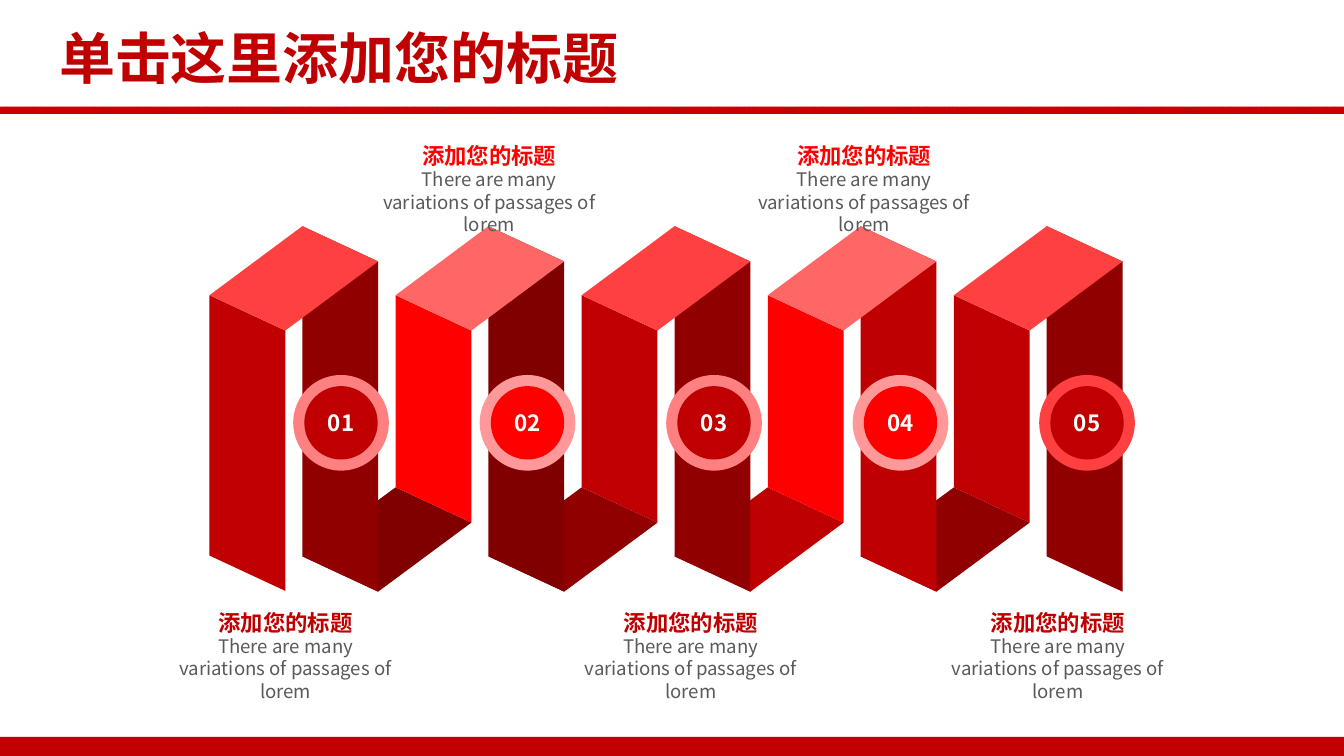
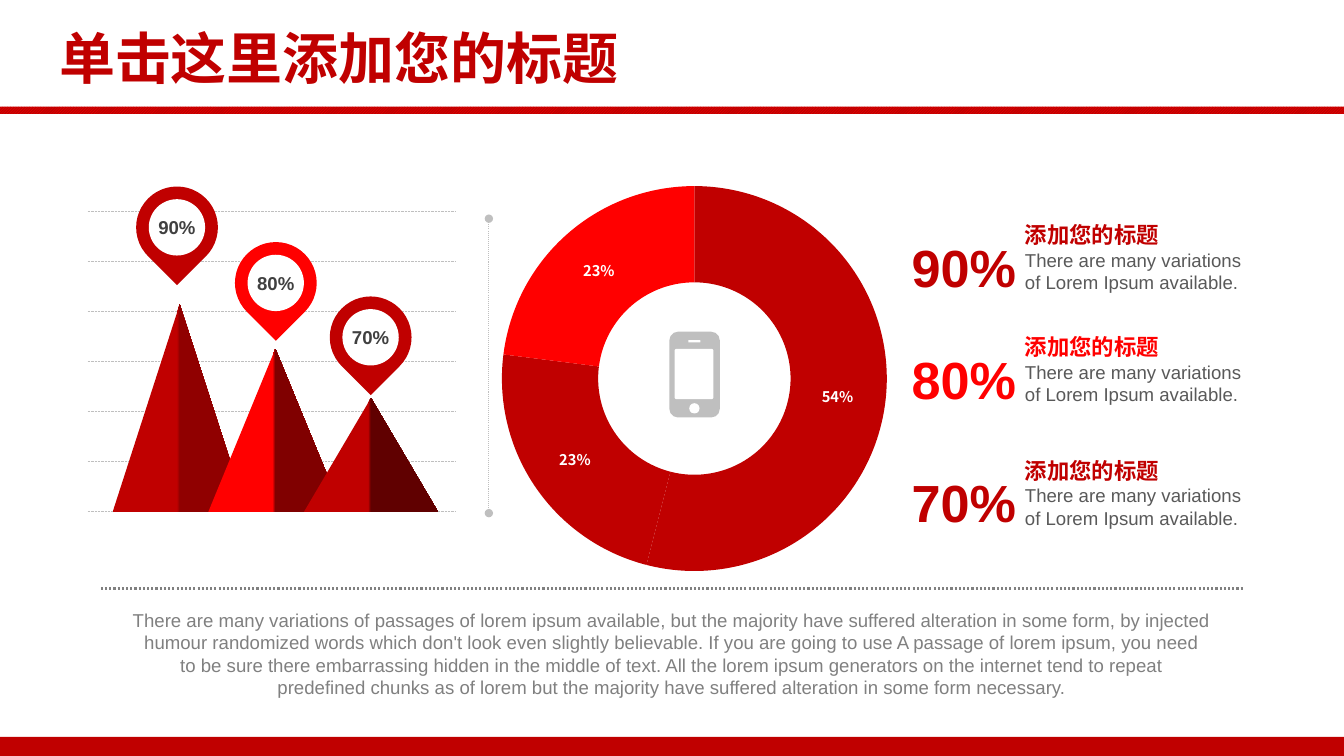
from dataclasses import dataclass
from typing import Optional

from lxml.etree import SubElement
from pptx import Presentation
from pptx.chart.data import CategoryChartData as ChartData
from pptx.dml.color import RGBColor
from pptx.enum.chart import XL_CHART_TYPE as Kind
from pptx.enum.dml import MSO_LINE as Dash, MSO_PATTERN as Pattern
from pptx.enum.shapes import MSO_CONNECTOR as Link, MSO_SHAPE as Form
from pptx.enum.text import MSO_ANCHOR as Anchor, PP_ALIGN as Align
from pptx.oxml.ns import qn
from pptx.util import Cm, Pt

DEEP, RED, WHITE, SILVER = "C00000", "FF0000", "FFFFFF", "BFBFBF"
SANS, ARIAL = "Noto Sans CJK SC", "Arial"
WIDE, HIGH = 33.87, 19.05
HEAD = "添加您的标题"
STEP, FACE, DEPTH, SLANT = 4.69, 1.91, 2.34, 0.89


@dataclass
class Style:
    size: float
    color: str
    bold: bool = False
    font: str = SANS
    align: Align = Align.CENTER
    pitch: Optional[float] = None


@dataclass
class Band:
    front: str
    back: str
    top: str
    floor: Optional[str]
    ring: str
    foot: float = 12.28


@dataclass
class Label:
    mid: float
    top: float
    color: str


@dataclass
class Peak:
    text: str
    color: str
    shade: str
    height: float
    pin_x: float
    pin_y: float
    note_y: float


BANDS = [
    Band(DEEP, "900000", "FF4040", "800000", "FF8080", 14.0),
    Band(RED, "800000", "FF6666", "900000", "FF9999"),
    Band(DEEP, "900000", "FF4040", "BF0000", "FF8080"),
    Band(RED, "BF0000", "FF6666", "900000", "FF9999"),
    Band(DEEP, "900000", "FF4040", None, "FF4040"),
]
LABELS = [
    Label(7.2, 15.34, DEEP),
    Label(12.33, 3.58, RED),
    Label(17.41, 15.34, DEEP),
    Label(21.78, 3.58, RED),
    Label(26.66, 15.34, DEEP),
]
PEAKS = [
    Peak("90%", DEEP, "900000", 5.23, 3.43, 4.7, 5.46),
    Peak("80%", RED, "800000", 4.11, 5.92, 6.1, 8.28),
    Peak("70%", DEEP, "600000", 2.87, 8.31, 7.47, 11.4),
]
BLURB = (
    "There are many variations of passages of lorem ipsum available, but the majority "
    "have suffered alteration in some form, by injected humour randomized words which "
    "don't look even slightly believable. If you are going to use A passage of lorem "
    "ipsum, you need\nto be sure there embarrassing hidden in the middle of text. All the "
    "lorem ipsum generators on the internet tend to repeat\npredefined chunks as of lorem "
    "but the majority have suffered alteration in some form necessary."
)


def tint(code: str) -> RGBColor:
    return RGBColor.from_string(code)


def write(frame, lines: list[tuple[str, Style]], anchor=Anchor.TOP, wrap=True, inset=0.0) -> None:
    frame.word_wrap = wrap
    frame.vertical_anchor = anchor
    frame.margin_left = frame.margin_right = Cm(inset)
    frame.margin_top = frame.margin_bottom = Cm(inset / 2)
    for i, (text, style) in enumerate(lines):
        para = frame.add_paragraph() if i else frame.paragraphs[0]
        para.text = text
        para.alignment = style.align
        if style.pitch:
            para.line_spacing = Pt(style.pitch)
        font = para.font
        font.size, font.bold, font.name = Pt(style.size), style.bold, style.font
        font.color.rgb = tint(style.color)
        props = para._p.pPr.find(qn("a:defRPr"))
        SubElement(props, qn("a:ea")).set("typeface", style.font)


def add_text(slide, x: float, y: float, w: float, h: float, lines, **extra) -> None:
    box = slide.shapes.add_textbox(Cm(x), Cm(y), Cm(w), Cm(h))
    write(box.text_frame, lines, **extra)


def plain(shape, color: Optional[str] = None):
    shape.shadow.inherit = False
    shape.line.fill.background()
    if color:
        shape.fill.solid()
        shape.fill.fore_color.rgb = tint(color)
    return shape


def add_form(slide, form: Form, x: float, y: float, w: float, h: float, color=None):
    return plain(slide.shapes.add_shape(form, Cm(x), Cm(y), Cm(w), Cm(h)), color)


def add_face(slide, points: list[tuple[float, float]], color: str) -> None:
    spots = [(Cm(x), Cm(y)) for x, y in points]
    path = slide.shapes.build_freeform(*spots[0])
    path.add_line_segments(spots[1:], close=True)
    plain(path.convert_to_shape(), color)


def add_rule(slide, x: float, y: float, to_x: float, to_y: float,
             color: str, width: float, ends=False) -> None:
    rule = slide.shapes.add_connector(Link.STRAIGHT, Cm(x), Cm(y), Cm(to_x), Cm(to_y))
    rule.line.color.rgb = tint(color)
    rule.line.width = Pt(width)
    rule.line.dash_style = Dash.ROUND_DOT
    props = rule._element.spPr
    if ends:
        for tag in ("a:headEnd", "a:tailEnd"):
            SubElement(props.find(qn("a:ln")), qn(tag)).set("type", "oval")
    SubElement(props, qn("a:effectLst"))


def new_slide(deck):
    slide = deck.slides.add_slide(deck.slide_layouts[6])
    add_form(slide, Form.RECTANGLE, 0, 18.57, WIDE, 0.48, DEEP)
    strip = add_form(slide, Form.RECTANGLE, 0, 2.69, WIDE, 0.18)
    strip.fill.patterned()
    strip.fill.pattern = Pattern.DARK_UPWARD_DIAGONAL
    strip.fill.fore_color.rgb = tint(RED)
    strip.fill.back_color.rgb = tint(DEEP)
    title = Style(40, DEEP, True, align=Align.LEFT)
    add_text(slide, 1.24, 0.46, 14.81, 1.96, [("单击这里添加您的标题", title)],
             anchor=Anchor.MIDDLE, wrap=False, inset=0.25)
    return slide


def draw_band(slide, x: float, band: Band) -> None:
    right, back, far = x + FACE, x + DEPTH, x + DEPTH + FACE
    ahead = x + STEP
    if band.floor:
        add_face(slide, [(ahead, 12.28), (ahead + FACE, 12.28 + SLANT),
                         (far, 14.02 + SLANT), (back, 14.02)], band.floor)
    add_face(slide, [(back, 5.7), (far, 5.7 + SLANT),
                     (far, 14.02 + SLANT), (back, 14.02)], band.back)
    add_face(slide, [(x, 7.44), (right, 7.44 + SLANT),
                     (right, band.foot + SLANT), (x, band.foot)], band.front)
    add_face(slide, [(x, 7.44), (back, 5.7), (far, 5.7 + SLANT),
                     (right, 7.44 + SLANT)], band.top)


def draw_badge(slide, x: float, y: float, num: int, band: Band) -> None:
    add_form(slide, Form.OVAL, x, y, 2.41, 2.41, band.ring)
    disc = add_form(slide, Form.OVAL, x + 0.28, y + 0.28, 1.85, 1.85, band.front)
    write(disc.text_frame, [(f"{num:02}", Style(16, WHITE, True))], Anchor.MIDDLE)


def draw_label(slide, label: Label) -> None:
    x = label.mid - 2.75
    add_text(slide, x, label.top, 5.5, 0.69, [(HEAD, Style(16, label.color, True))],
             anchor=Anchor.MIDDLE)
    add_text(slide, x, label.top + 0.66, 5.5, 1.14,
             [("There are many variations of passages of lorem",
               Style(13.3, "595959", pitch=16))])


def draw_peak(slide, x: float, peak: Peak) -> None:
    cone = add_form(slide, Form.ISOSCELES_TRIANGLE, x, 12.9 - peak.height, 3.38, peak.height)
    cone.fill.gradient()
    cone.fill.gradient_angle = 0
    sides = [(0.48, peak.color), (0.5, peak.shade)]
    for stop, (place, color) in zip(cone.fill.gradient_stops, sides):
        stop.position = place
        stop.color.rgb = tint(color)


def draw_pin(slide, peak: Peak) -> None:
    x, y = peak.pin_x, peak.pin_y
    add_form(slide, Form.TEAR, x, y, 2.06, 2.06, peak.color).rotation = 135
    hole = add_form(slide, Form.OVAL, x + 0.32, y + 0.32, 1.42, 1.42, WHITE)
    write(hole.text_frame, [(peak.text, Style(13.3, "404040", True, ARIAL))],
          Anchor.MIDDLE, wrap=False)


def draw_note(slide, peak: Peak) -> None:
    add_text(slide, 25.58, peak.note_y, 6.76, 2.08, [
        (HEAD, Style(16, peak.color, True, ARIAL, Align.LEFT, 19.2)),
        ("There are many variations\nof Lorem Ipsum available.",
         Style(13.3, "595959", False, ARIAL, Align.LEFT, 16)),
    ], inset=0.25)
    add_text(slide, 22.94, peak.note_y + 0.45, 2.67, 1.6,
             [(peak.text, Style(37.3, peak.color, True, ARIAL, Align.RIGHT))],
             anchor=Anchor.MIDDLE, wrap=False)


def draw_ring(slide) -> None:
    data = ChartData()
    data.categories = ["1", "2", "3", "4", "5"]
    data.add_series("Series 1", [54, 23, 23, None, None])
    chart = slide.shapes.add_chart(Kind.DOUGHNUT, Cm(12.32), Cm(3.91),
                                   Cm(10.36), Cm(11.15), data).chart
    chart.has_legend = chart.has_title = False
    chart.font.size, chart.font.bold, chart.font.name = Pt(18), True, SANS
    chart.font.color.rgb = tint(WHITE)
    plot = chart.plots[0]
    plot.vary_by_categories = True
    for i, color in enumerate([DEEP, DEEP, RED, RED, DEEP]):
        part = plot.series[0].points[i].format
        part.fill.solid()
        part.fill.fore_color.rgb = tint(color)
        part.line.fill.background()
    plot.has_data_labels = True
    tags = plot.data_labels
    tags.show_percentage, tags.show_value = True, False
    tags.number_format, tags.number_format_is_linked = "0%", False
    tags.font.size, tags.font.bold, tags.font.name = Pt(10.5), True, SANS
    tags.font.color.rgb = tint(WHITE)
    area = chart._chartSpace.chart.plotArea
    for old in area.findall(qn("c:layout")):
        area.remove(old)
    layout = SubElement(area, qn("c:layout"))
    area.insert(0, layout)
    manual = SubElement(layout, qn("c:manualLayout"))
    places = {"layoutTarget": "inner", "xMode": "edge", "yMode": "edge",
              "x": "0.03", "y": "0.07", "w": "0.94", "h": "0.87"}
    for key, value in places.items():
        SubElement(manual, qn(f"c:{key}")).set("val", value)
    area.find(".//" + qn("c:holeSize")).set("val", "50")


def draw_phone(slide) -> None:
    case = add_form(slide, Form.ROUNDED_RECTANGLE, 16.87, 8.36, 1.27, 2.16, SILVER)
    case.adjustments[0] = 0.17
    screen = add_form(slide, Form.ROUNDED_RECTANGLE, 17, 8.79, 0.98, 1.27, WHITE)
    screen.adjustments[0] = 0.05
    add_form(slide, Form.ROUNDED_RECTANGLE, 17.35, 8.57, 0.3, 0.06, WHITE)
    add_form(slide, Form.OVAL, 17.37, 10.16, 0.26, 0.26, WHITE)


def ribbon_slide(deck) -> None:
    slide = new_slide(deck)
    for i, band in enumerate(BANDS):
        draw_band(slide, 5.28 + i * STEP, band)
    for i, band in enumerate(BANDS):
        draw_badge(slide, 7.39 + i * 4.7, 9.45, i + 1, band)
    for label in LABELS:
        draw_label(slide, label)


def chart_slide(deck) -> None:
    slide = new_slide(deck)
    draw_ring(slide)
    for i in range(7):
        y = 5.33 + i * 1.26
        add_rule(slide, 2.21, y, 11.48, y, SILVER, 0.5)
    for i, peak in enumerate(PEAKS):
        draw_peak(slide, 2.84 + i * 2.41, peak)
    for peak in PEAKS:
        draw_pin(slide, peak)
        draw_note(slide, peak)
    add_rule(slide, 12.32, 5.51, 12.32, 12.93, SILVER, 0.75, ends=True)
    draw_phone(slide)
    add_text(slide, 2.57, 15.34, 28.73, 2.29,
             [(BLURB, Style(13.3, "808080", font=ARIAL, pitch=16))])
    add_rule(slide, 2.54, 14.83, 31.32, 14.83, "808080", 1.5)


def main() -> None:
    deck = Presentation()
    deck.slide_width, deck.slide_height = Cm(WIDE), Cm(HIGH)
    ribbon_slide(deck)
    chart_slide(deck)
    deck.save("out.pptx")


if __name__ == "__main__":
    main()
